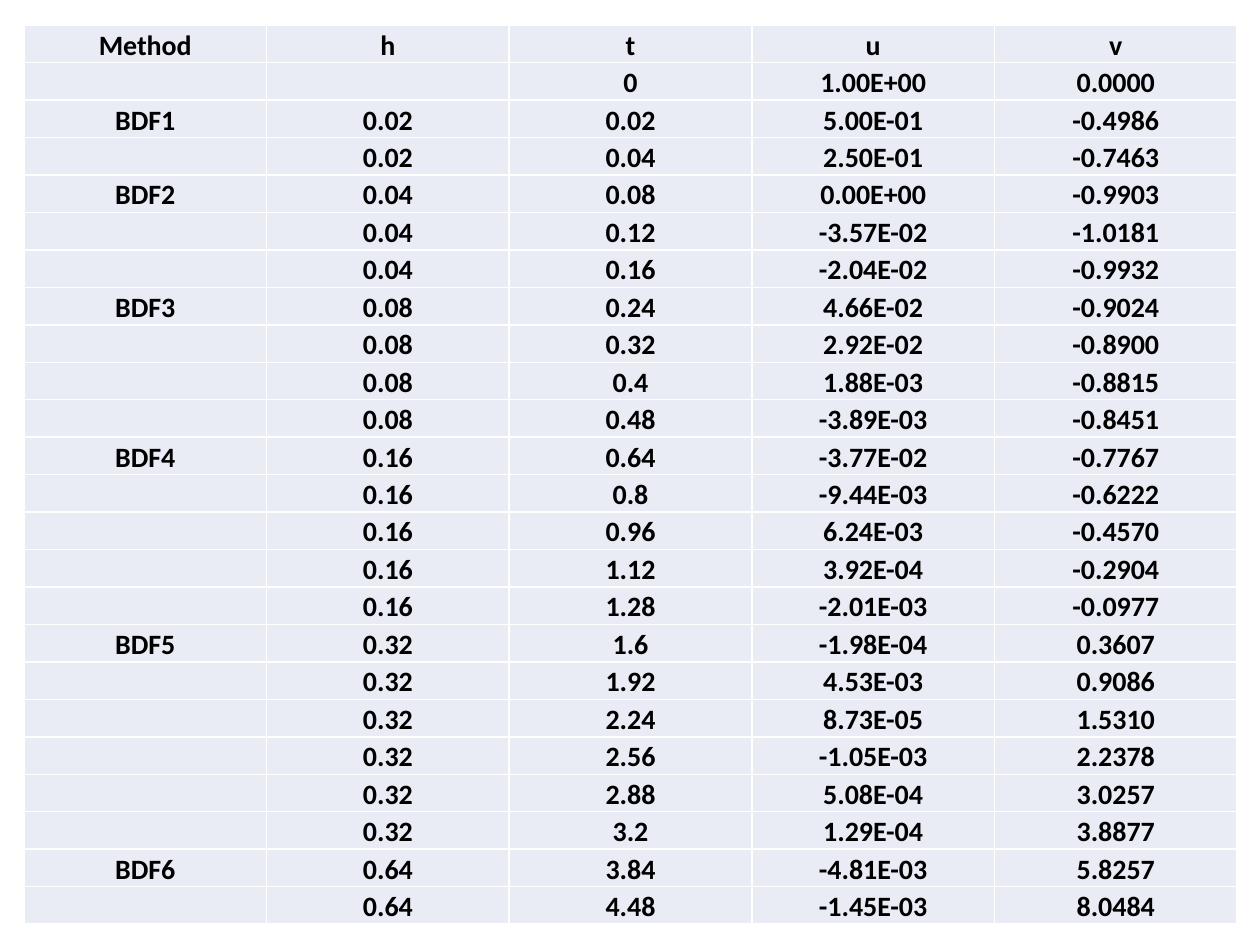
from lxml import etree
from pptx import Presentation
from pptx.dml.color import RGBColor
from pptx.enum.text import MSO_ANCHOR, PP_ALIGN
from pptx.oxml.ns import qn
from pptx.util import Pt

CENTER = PP_ALIGN.CENTER
BOTTOM = MSO_ANCHOR.BOTTOM

HEADS = ("Method", "h", "t", "u", "v")

# Each group: method, step h, then rows of (t, u, v)
GROUPS = [
    ("", "", [("0", "1.00E+00", "0.0000")]),
    ("BDF1", "0.02", [
        ("0.02", "5.00E-01", "-0.4986"),
        ("0.04", "2.50E-01", "-0.7463"),
    ]),
    ("BDF2", "0.04", [
        ("0.08", "0.00E+00", "-0.9903"),
        ("0.12", "-3.57E-02", "-1.0181"),
        ("0.16", "-2.04E-02", "-0.9932"),
    ]),
    ("BDF3", "0.08", [
        ("0.24", "4.66E-02", "-0.9024"),
        ("0.32", "2.92E-02", "-0.8900"),
        ("0.4", "1.88E-03", "-0.8815"),
        ("0.48", "-3.89E-03", "-0.8451"),
    ]),
    ("BDF4", "0.16", [
        ("0.64", "-3.77E-02", "-0.7767"),
        ("0.8", "-9.44E-03", "-0.6222"),
        ("0.96", "6.24E-03", "-0.4570"),
        ("1.12", "3.92E-04", "-0.2904"),
        ("1.28", "-2.01E-03", "-0.0977"),
    ]),
    ("BDF5", "0.32", [
        ("1.6", "-1.98E-04", "0.3607"),
        ("1.92", "4.53E-03", "0.9086"),
        ("2.24", "8.73E-05", "1.5310"),
        ("2.56", "-1.05E-03", "2.2378"),
        ("2.88", "5.08E-04", "3.0257"),
        ("3.2", "1.29E-04", "3.8877"),
    ]),
    ("BDF6", "0.64", [
        ("3.84", "-4.81E-03", "5.8257"),
        ("4.48", "-1.45E-03", "8.0484"),
    ]),
]

THEME = {"font": "Calibri", "size": 16, "ink": "000000",
         "fill": "E9EBF5", "rule": "FFFFFF", "rule_width": 1}
LEFT, TOP, WIDTH, HEIGHT = 13.7, 14.4, 693.3, 513.9


def flatten(groups):
    """Name the method only on the first row of its group."""
    return [(name if i == 0 else "", step, *row)
            for name, step, rows in groups
            for i, row in enumerate(rows)]


def put_text(cell, text, size, font, color, bold=True, align=CENTER):
    para = cell.text_frame.paragraphs[0]
    para.alignment = align
    if not text:
        # The end mark holds the size that keeps an empty row low
        etree.SubElement(para._p, qn("a:endParaRPr"), sz=str(size * 100))
        return
    run = para.add_run()
    run.text = text
    run.font.name = font
    run.font.size = Pt(size)
    run.font.bold = bold
    run.font.color.rgb = RGBColor.from_string(color)


def add_rules(cell, color, width):
    props = cell._tc.get_or_add_tcPr()
    for side in ("lnL", "lnR", "lnT", "lnB"):
        line = etree.SubElement(props, qn("a:" + side), w=str(Pt(width)))
        fill = etree.SubElement(line, qn("a:solidFill"))
        etree.SubElement(fill, qn("a:srgbClr"), val=color)


def style_cell(cell):
    cell.vertical_anchor = BOTTOM
    cell.margin_left = cell.margin_right = cell.margin_top = Pt(0.7)
    cell.margin_bottom = Pt(0)
    add_rules(cell, THEME["rule"], THEME["rule_width"])
    cell.fill.solid()
    cell.fill.fore_color.rgb = RGBColor.from_string(THEME["fill"])


def add_grid(slide, rows):
    count, width = len(rows), len(rows[0])
    table = slide.shapes.add_table(count, width, Pt(LEFT), Pt(TOP),
                                   Pt(WIDTH), Pt(HEIGHT)).table
    table.first_row = table.horz_banding = False
    for col in table.columns:
        col.width = Pt(WIDTH / width)
    for row, values in zip(table.rows, rows):
        row.height = Pt(HEIGHT / count)
        for cell, text in zip(row.cells, values):
            style_cell(cell)
            put_text(cell, text, size=THEME["size"], font=THEME["font"],
                     color=THEME["ink"])


def main():
    deck = Presentation()
    deck.slide_width, deck.slide_height = Pt(720), Pt(540)
    slide = deck.slides.add_slide(deck.slide_layouts[6])
    add_grid(slide, [HEADS, *flatten(GROUPS)])
    deck.save("out.pptx")


if __name__ == "__main__":
    main()
